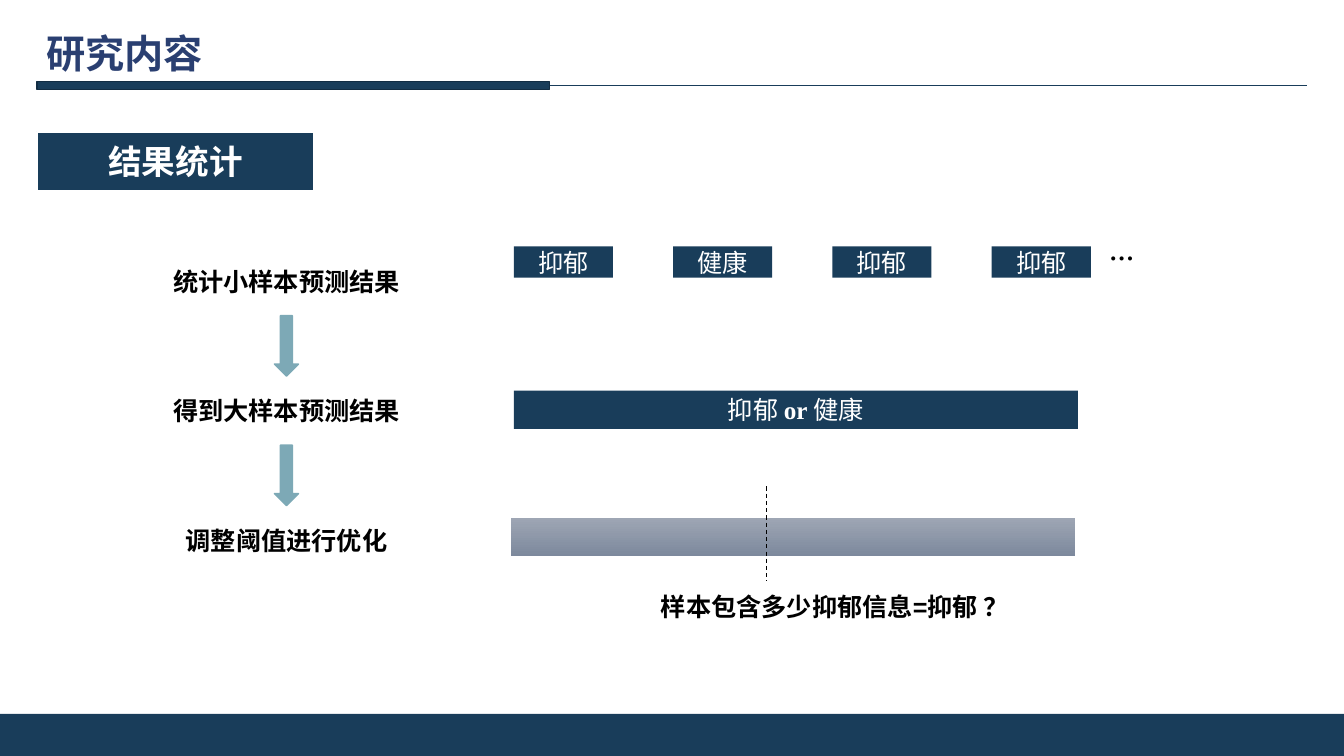
import pptx
import pptx.util
import pptx.dml.color
import pptx.enum.dml
import pptx.enum.shapes
import pptx.enum.text
import pptx.oxml
import pptx.oxml.ns

# Content
TITLE = "研究内容"
TAG = "结果统计"
STEPS = ["统计小样本预测结果", "得到大样本预测结果", "调整阈值进行优化"]
CHIPS = ["抑郁", "健康", "抑郁", "抑郁"]
RESULT = ["抑郁 ", "or ", "健康"]
MORE = "…"
ASK = "样本包含多少抑郁信息=抑郁 ？"

# Theme
THEME = {
    "navy": "193D5A", "edge": "122D43", "title": "2A3F71", "teal": "7DA9B6",
    "white": "FFFFFF", "black": "000000", "light": "9EA6B4", "dark": "7D899D",
    "head": 28, "tag": 24, "body": 18,
    "sans": "Arial", "cjk": "Noto Sans CJK SC", "serif": "Times New Roman",
}

Pt = pptx.util.Pt
KIND = pptx.enum.shapes.MSO_SHAPE
ALIGN = pptx.enum.text.PP_ALIGN
ANCHOR = pptx.enum.text.MSO_ANCHOR
FIT = pptx.enum.text.MSO_AUTO_SIZE

deck = pptx.Presentation()
deck.slide_width, deck.slide_height = Pt(960), Pt(540)
slide = deck.slides.add_slide(deck.slide_layouts[5])
shapes = slide.shapes


def paint(name):
    return pptx.dml.color.RGBColor.from_string(THEME[name])


def style(run, size, color, bold=False, face="sans"):
    font = run.font
    font.size, font.bold, font.name = Pt(THEME[size]), bold, THEME[face]
    font.color.rgb = paint(color)
    east = pptx.oxml.parse_xml(
        f'<a:ea {pptx.oxml.ns.nsdecls("a")} typeface="{THEME["cjk"]}"/>')
    font.fill  # the fill comes before the fonts
    run._r.get_or_add_rPr().append(east)


def block(box, fill, line=None, width=1, kind=KIND.RECTANGLE):
    shape = shapes.add_shape(kind, *map(Pt, box))
    shape.shadow.inherit = False
    if fill:
        shape.fill.solid()
        shape.fill.fore_color.rgb = paint(fill)
    if line:
        shape.line.color.rgb = paint(line)
        shape.line.width = Pt(width)
    else:
        shape.line.fill.background()
    return shape


def write(shape, text, size, color, bold=False, face="sans",
          align=ALIGN.CENTER, anchor=ANCHOR.MIDDLE, wrap=True):
    frame = shape.text_frame
    frame.text = text
    frame.word_wrap, frame.vertical_anchor = wrap, anchor
    frame.auto_size = FIT.NONE
    frame.paragraphs[0].alignment = align
    for run in frame.paragraphs[0].runs:
        style(run, size, color, bold, face)


def label(box, text, face="cjk", align=ALIGN.CENTER, wrap=True):
    shape = shapes.add_textbox(*map(Pt, box))
    write(shape, text, "body", "black", True, face, align, ANCHOR.TOP, wrap)


def rule(x1, y1, x2, y2, color, width):
    line = shapes.add_connector(pptx.enum.shapes.MSO_CONNECTOR.STRAIGHT,
                                Pt(x1), Pt(y1), Pt(x2), Pt(y2))
    line.line.color.rgb = paint(color)
    line.line.width = Pt(width)
    line._element.spPr.append(
        pptx.oxml.parse_xml(f'<a:effectLst {pptx.oxml.ns.nsdecls("a")}/>'))
    return line


# Header and footer
rule(26.5, 61, 933.5, 61, "navy", 0.5)
block((26.5, 58.3, 366, 5.6), "navy", "edge")
block((0, 510, 960, 30), "navy")
title = shapes.title
title.left, title.top, title.width, title.height = map(Pt, (26, 14.5, 908.5, 46))
write(title, TITLE, "head", "title", True, "cjk", ALIGN.JUSTIFY)

# Section tag
tag = block((26.2, 94, 198.5, 42.2), "navy", "white", 1.5)
write(tag, TAG, "tag", "white", True)

# Steps with arrows between them
MID, TOP, PITCH = 204.6, 186.5, 92.5
for i, step in enumerate(STEPS):
    top = TOP + i * PITCH
    label((MID - 108.5, top, 217, 27.4), step)
    if i < len(STEPS) - 1:
        block((MID - 8.6, top + 39, 17.2, 43.2), "teal", "teal",
              kind=KIND.DOWN_ARROW)

# Small samples
LEFT, GAP = 367, 113.8
for i, chip in enumerate(CHIPS):
    write(block((LEFT + i * GAP, 176, 70.8, 22.4), "navy"),
          chip, "body", "white")
label((785.5, 170, 32.4, 29), MORE, align=ALIGN.LEFT, wrap=False)

# Large sample
large = block((LEFT, 279, 403, 27.4), "navy")
write(large, "", "body", "white")
for i, part in enumerate(RESULT):
    run = large.text_frame.paragraphs[0].add_run()
    run.text = part
    style(run, "body", "white", i == 1, "serif" if i == 1 else "sans")

# Threshold bar
bar = block((365, 369.7, 403, 27.4), None)
bar.fill.gradient()
bar.fill.gradient_angle = 270
for stop, name in zip(bar.fill.gradient_stops, ("light", "dark")):
    stop.color.rgb = paint(name)
cut = rule(547.4, 347.5, 547.4, 414.7, "black", 0.75)
cut.line.dash_style = pptx.enum.dml.MSO_LINE.DASH
label((465, 419, 277, 29), ASK, "sans", ALIGN.LEFT)

deck.save("out.pptx")
